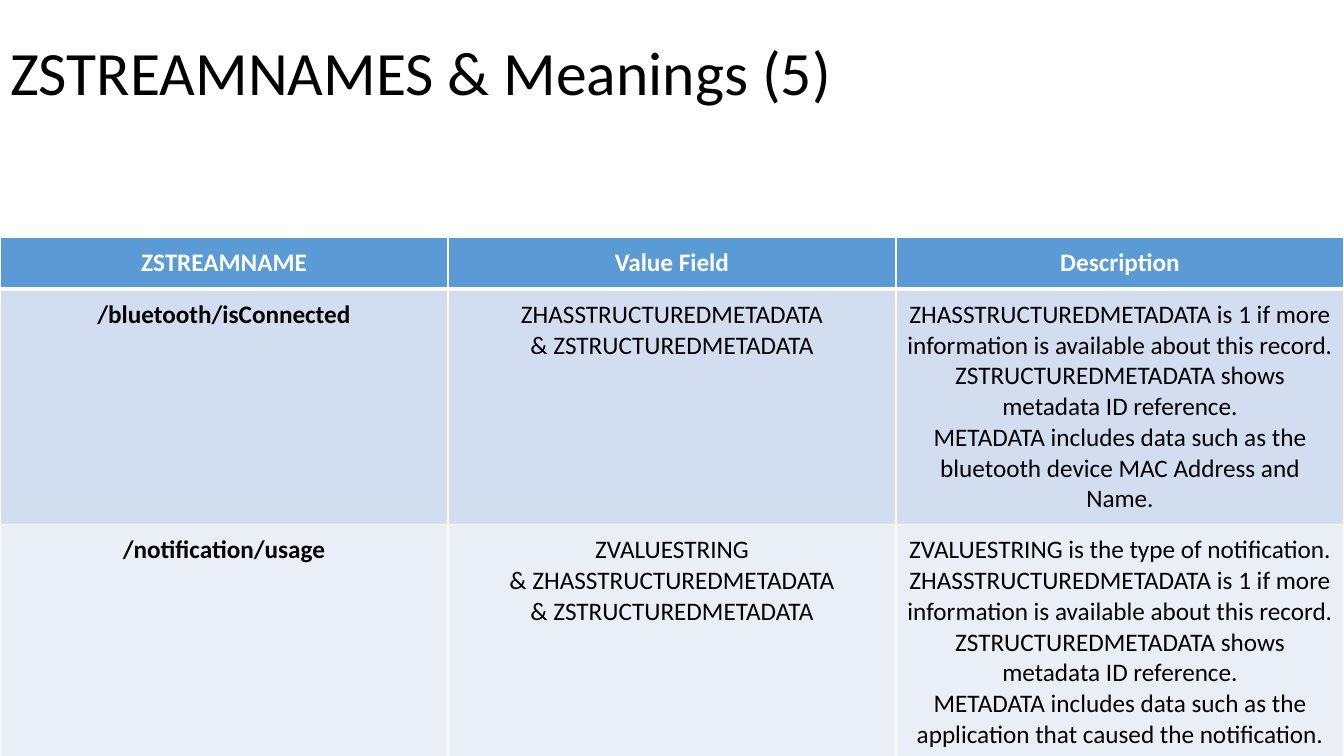
from lxml.etree import SubElement
from pptx import Presentation
from pptx.dml.color import RGBColor
from pptx.enum.text import MSO_ANCHOR, MSO_AUTO_SIZE, PP_ALIGN
from pptx.oxml.ns import qn
from pptx.util import Inches, Pt

TITLE = "ZSTREAMNAMES & Meanings (5)"
ROWS = [
    ("ZSTREAMNAME", "Value Field", "Description"),
    (
        "/bluetooth/isConnected",
        "ZHASSTRUCTUREDMETADATA\n& ZSTRUCTUREDMETADATA",
        "ZHASSTRUCTUREDMETADATA is 1 if more information is available about this record.\n"
        "ZSTRUCTUREDMETADATA shows metadata ID reference.\n"
        "METADATA includes data such as the bluetooth device MAC Address and Name.",
    ),
    (
        "/notification/usage",
        "ZVALUESTRING\n& ZHASSTRUCTUREDMETADATA\n& ZSTRUCTUREDMETADATA",
        "ZVALUESTRING is the type of notification.\n"
        "ZHASSTRUCTUREDMETADATA is 1 if more information is available about this record.\n"
        "ZSTRUCTUREDMETADATA shows metadata ID reference.\n"
        "METADATA includes data such as the application that caused the notification.",
    ),
]

FONT = "Calibri"
BLACK = RGBColor(0x00, 0x00, 0x00)
WHITE = RGBColor(0xFF, 0xFF, 0xFF)
ROW_FILLS = [
    RGBColor(0x5B, 0x9B, 0xD5),
    RGBColor(0xD2, 0xDE, 0xEF),
    RGBColor(0xEA, 0xEF, 0xF7),
]
WIDTH, HEIGHT = Inches(13.33), Inches(7.5)
TABLE_TOP = Inches(2.36)
ROW_HEIGHTS = [Inches(0.51), Inches(2.33), Inches(2.28)]
MARGIN = Inches(0.1)


def set_values(target, values):
    for name, value in values.items():
        setattr(target, name, value)


def write(para, text, size, color, bold, align):
    para.text = text
    para.alignment = align
    for span in para.runs:
        set_values(span.font, {"name": FONT, "size": Pt(size), "bold": bold})
        span.font.color.rgb = color


def add_borders(cell, widths):
    """Draw white cell borders; widths maps a side tag to points."""
    properties = cell._tc.get_or_add_tcPr()
    for side, width in widths.items():
        line = SubElement(properties, qn(f"a:{side}"), w=str(Pt(width)))
        fill = SubElement(line, qn("a:solidFill"))
        SubElement(fill, qn("a:srgbClr"), val=str(WHITE))


def add_title(slide):
    title = slide.shapes.title
    set_values(title, {"left": 0, "top": Inches(0.02),
                       "width": Inches(11.5), "height": Inches(1.45)})
    set_values(title.text_frame, {"word_wrap": True, "auto_size": MSO_AUTO_SIZE.NONE,
                                  "vertical_anchor": MSO_ANCHOR.MIDDLE})
    para = title.text_frame.paragraphs[0]
    write(para, TITLE, 44, BLACK, False, PP_ALIGN.LEFT)
    para.line_spacing = 0.9


def add_stream_table(slide):
    table = slide.shapes.add_table(
        len(ROWS), len(ROWS[0]), 0, TABLE_TOP, WIDTH, sum(ROW_HEIGHTS)).table
    for r, texts in enumerate(ROWS):
        table.rows[r].height = ROW_HEIGHTS[r]
        header = r == 0
        for c, text in enumerate(texts):
            cell = table.cell(r, c)
            set_values(cell, {f"margin_{side}": MARGIN
                              for side in ("left", "right", "top", "bottom")})
            add_borders(cell, {"lnL": 1, "lnR": 1,
                               "lnT": 3 if r == 1 else 1, "lnB": 3 if header else 1})
            cell.fill.solid()
            cell.fill.fore_color.rgb = ROW_FILLS[r]
            write(cell.text_frame.paragraphs[0], text, 18,
                  WHITE if header else BLACK, header or c == 0, PP_ALIGN.CENTER)


def main():
    deck = Presentation()
    set_values(deck, {"slide_width": WIDTH, "slide_height": HEIGHT})
    slide = deck.slides.add_slide(deck.slide_layouts.get_by_name("Title Only"))
    add_title(slide)
    add_stream_table(slide)
    deck.save("out.pptx")


if __name__ == "__main__":
    main()
